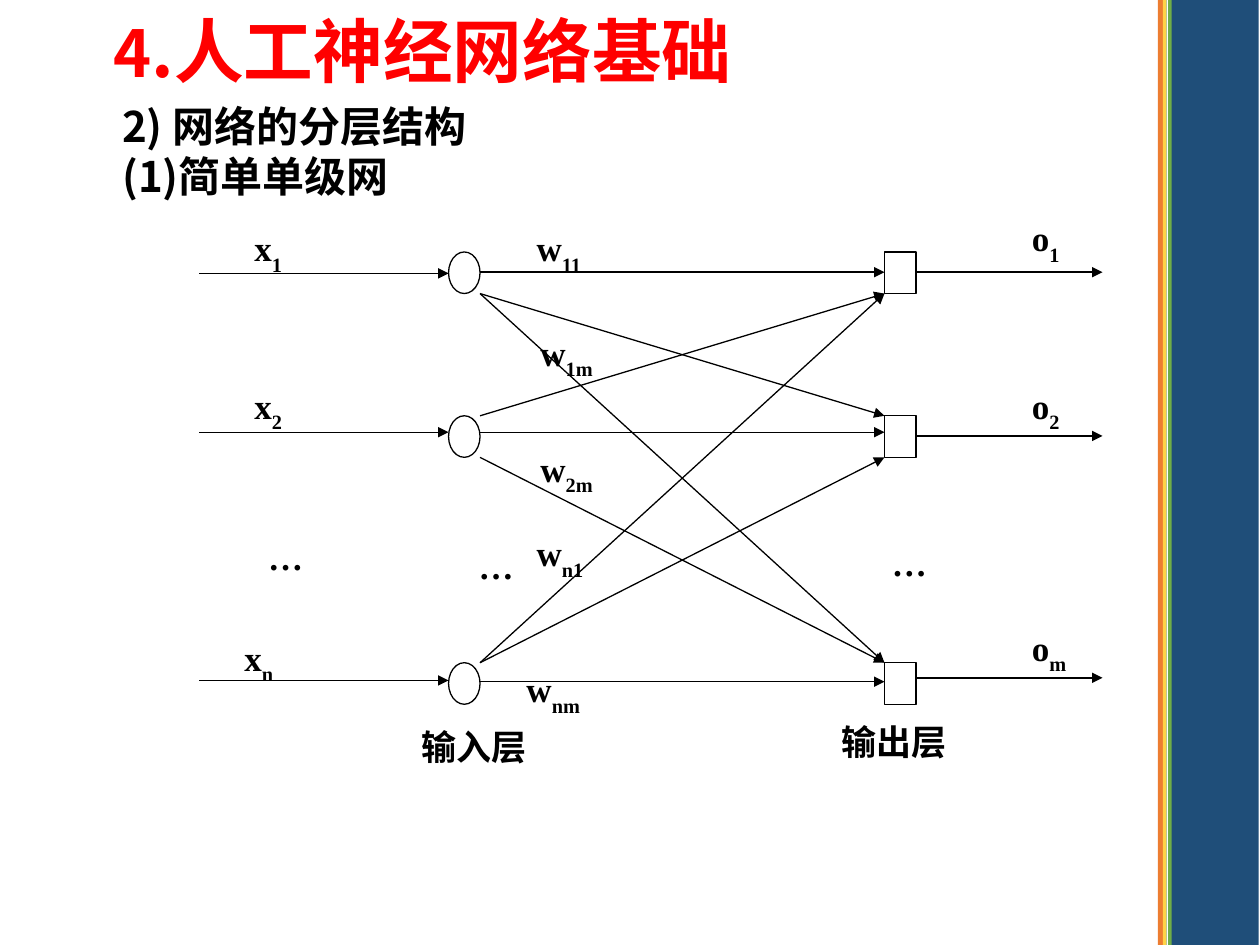
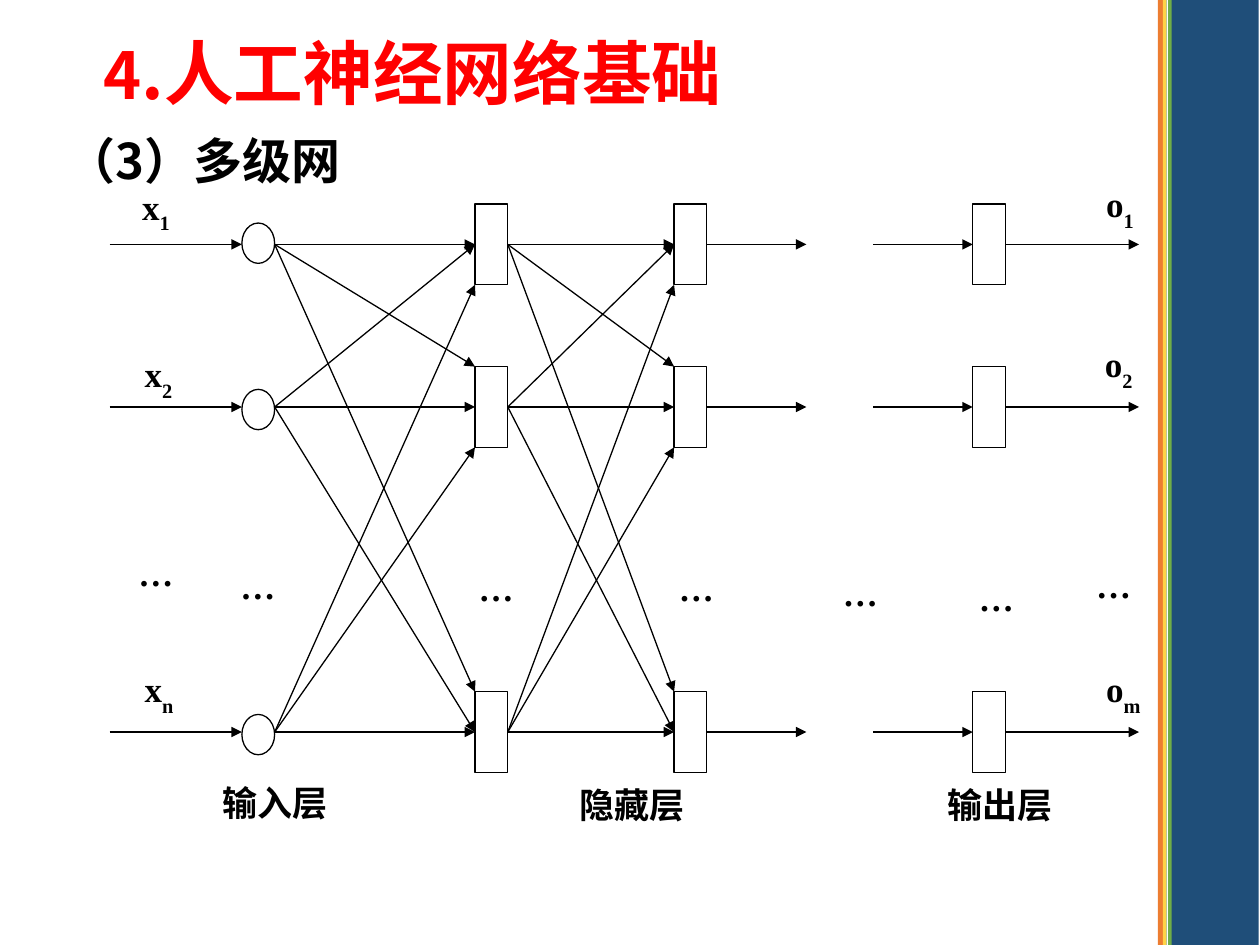
from itertools import product
from lxml.etree import SubElement
from pptx import Presentation
from pptx.dml.color import RGBColor
from pptx.enum.shapes import MSO_CONNECTOR, MSO_SHAPE
from pptx.enum.text import MSO_ANCHOR, MSO_AUTO_SIZE, PP_ALIGN
from pptx.oxml.ns import qn
from pptx.util import Inches, Pt

WIDTH, HEIGHT = Inches(10), Inches(7.5)
COLS, ROWS = 100, 75  # the layout grid
BLACK, WHITE, RED = "000000", "FFFFFF", "FF0000"
SANS, SERIF = "Noto Sans CJK SC", "Times New Roman"
# Side bands: left column, width, colour
BANDS = [(92.3, 7.6, "1F4E79"), (91.9, 0.4, "ED7D31"), (92.3, 0.3, "FFD347"),
         (92.6, 0.4, "70AD47"), (92.6, 0.1, WHITE)]
# Label width by number of letters
WIDE = {1: 4.8, 2: 4.9, 3: 6.5}


def col(n):
    return round(WIDTH * n / COLS)


def row(n):
    return round(HEIGHT * n / ROWS)


def area(x, y, w, h):
    return col(x), row(y), col(w), row(h)


def rgb(code):
    return RGBColor.from_string(code)


def style(run, size, name, color=BLACK, asian=SANS):
    font = run.font
    font.size, font.bold, font.name = Pt(size), True, name
    font.color.rgb = rgb(color)
    SubElement(run._r.get_or_add_rPr(), qn("a:ea")).set("typeface", asian)


def block(slide, kind, box, fill, edge=None):
    shape = slide.shapes.add_shape(kind, *area(*box))
    shape.shadow.inherit = False
    shape.fill.solid()
    shape.fill.fore_color.rgb = rgb(fill)
    if edge:
        shape.line.color.rgb = rgb(edge)
        shape.line.width = Pt(0.75)
    else:
        shape.line.fill.background()


def arrow(slide, x1, y1, x2, y2):
    wire = slide.shapes.add_connector(
        MSO_CONNECTOR.STRAIGHT, col(x1), row(y1), col(x2), row(y2))
    wire.line.color.rgb = rgb(BLACK)
    wire.line.width = Pt(0.75)
    SubElement(wire.line._get_or_add_ln(), qn("a:tailEnd")).set("type", "triangle")
    SubElement(wire._element.spPr, qn("a:effectLst"))


def flat(slide, x1, x2, levels):
    """Level arrows between two columns."""
    for y in levels:
        arrow(slide, x1, y, x2, y)


def nodes(slide, kind, x, tops, w, h):
    for top in tops:
        block(slide, kind, (x, top, w, h), WHITE, BLACK)


def label(slide, x, y, text, sub="", wide=None, asian=SERIF):
    wide = wide or WIDE[len(text + sub)]
    frame = slide.shapes.add_textbox(*area(x, y, wide, 4.3)).text_frame
    frame.word_wrap = False
    frame.auto_size = MSO_AUTO_SIZE.SHAPE_TO_FIT_TEXT
    para = frame.paragraphs[0]
    for part in filter(None, (text, sub)):
        run = para.add_run()
        run.text = part
        style(run, 20, SERIF, asian=asian)
        if part is sub:
            run._r.get_or_add_rPr().set("baseline", "-30000")


def labels(slide, text, marks):
    for x, y, sub in marks:
        label(slide, x, y, text, sub)


def dots(slide, places):
    for x, y in places:
        label(slide, x, y, "…")


def layers(slide, names):
    for x, y, name in names:
        label(slide, x, y, name, wide=10.4, asian=SANS)


def place(holder, box, anchor):
    holder.left, holder.top, holder.width, holder.height = area(*box)
    frame = holder.text_frame
    frame.auto_size = MSO_AUTO_SIZE.NONE
    frame.vertical_anchor = anchor
    return frame


def base(deck, x, y, lines, box, size, space):
    """Slide with side bands, red heading and subheading lines."""
    slide = deck.slides.add_slide(deck.slide_layouts[1])
    for left, wide, color in BANDS:
        block(slide, MSO_SHAPE.RECTANGLE, (left, 0, wide, ROWS), color)

    # Heading
    head = place(slide.shapes.title, (x, y, 62.8, 6.1), MSO_ANCHOR.TOP)
    para = head.paragraphs[0]
    para.alignment, para.line_spacing = PP_ALIGN.LEFT, 0.7
    for text, points in (("4", 37), (".人工神经网络基础", 39.8)):
        run = para.add_run()
        run.text = text
        style(run, points, SANS, RED)

    # Subheading
    body = place(slide.placeholders[1], box, MSO_ANCHOR.MIDDLE)
    body.text = "\n".join(lines)
    for para in body.paragraphs:
        para.line_spacing, para.space_before = space, Pt(0)
        props = para._p.get_or_add_pPr()
        props.set("marL", "0")
        props.set("indent", "0")
        SubElement(props, qn("a:buNone"))
        style(para.runs[0], size, SANS)
    return slide


def single(deck):
    slide = base(deck, 8, 1.9, ["2) 网络的分层结构", "(1)简单单级网"],
                 (8.7, 8, 48.6, 7.9), 24, 1)
    tops, wide, tall = (20, 33, 52.6), 2.5, 3.3
    left, right = 35.6, 70.2

    # Nodes and level arrows
    nodes(slide, MSO_SHAPE.OVAL, left, tops, wide, tall)
    nodes(slide, MSO_SHAPE.RECTANGLE, right, tops, wide, tall)
    flat(slide, 15.8, left, (21.7, 34.3, 54))
    flat(slide, left + wide, right, (21.6, 34.3, 54.1))
    flat(slide, right + wide, 87.5, (21.6, 34.6, 53.8))

    # Crossing arrows join the facing corners
    for start, end in product(tops, tops):
        if start < end:
            arrow(slide, left + wide, start + tall, right, end)
        elif start > end:
            arrow(slide, left + wide, start, right, end + tall)

    # Labels
    labels(slide, "x", [(19.2, 17.5, "1"), (19.2, 30, "2"), (18.4, 50, "n")])
    labels(slide, "o", [(80.9, 16.7, "1"), (80.9, 30, "2"), (80.9, 49.2, "m")])
    labels(slide, "w", [(41.6, 17.5, "11"), (41.9, 25.8, "1m"), (41.9, 35, "2m"),
                        (41.6, 41.7, "n1"), (40.8, 52.5, "nm")])
    dots(slide, [(20.3, 42), (37, 42.7), (69.8, 42.5)])
    layers(slide, [(32.5, 57.1, "输入层"), (65.8, 56.7, "输出层")])


def multi(deck):
    slide = base(deck, 7.2, 3.7, ["（3）多级网"], (4.3, 8.6, 29.3, 8.7), 28, 0.9)
    mids, wide, half = (19.4, 32.3, 58.1), 2.6, 3.2
    first, *hidden, last = 19.2, 37.7, 53.5, 77.2

    # Nodes
    nodes(slide, MSO_SHAPE.OVAL, first, (17.7, 30.9, 56.7), wide, half)
    for x in (*hidden, last):
        nodes(slide, MSO_SHAPE.RECTANGLE, x, [y - half for y in mids], wide, 2 * half)

    # Level arrows
    for x1, x2 in ((8.7, first), (first + wide, hidden[0]),
                   (hidden[0] + wide, hidden[1]), (hidden[1] + wide, 64),
                   (69.3, last), (last + wide, 90.4)):
        flat(slide, x1, x2, mids)

    # Crossing arrows: the middle row aims at centres, the others at corners
    for x1, x2 in zip((first, hidden[0]), hidden):
        for start, end in product(mids, mids):
            if start == end:
                continue
            shift = 0 if start == mids[1] else half if start > end else -half
            arrow(slide, x1 + wide, start, x2, end + shift)

    # Labels
    labels(slide, "x", [(10.3, 14.2, "1"), (10.5, 27.5, "2"), (10.5, 52.5, "n")])
    labels(slide, "o", [(86.8, 14, "1"), (86.7, 26.7, "2"), (86.8, 52.5, "m")])
    dots(slide, [(10, 43.3), (18.1, 44.3), (37, 44.5), (52.9, 44.5),
                 (65.9, 44.9), (76.7, 45.3), (86, 44.2)])
    layers(slide, [(16.7, 61.5, "输入层"), (45, 61.7, "隐藏层"), (74.2, 61.7, "输出层")])


def main():
    deck = Presentation()
    deck.slide_width, deck.slide_height = WIDTH, HEIGHT
    single(deck)
    multi(deck)
    deck.save("out.pptx")


if __name__ == "__main__":
    main()
